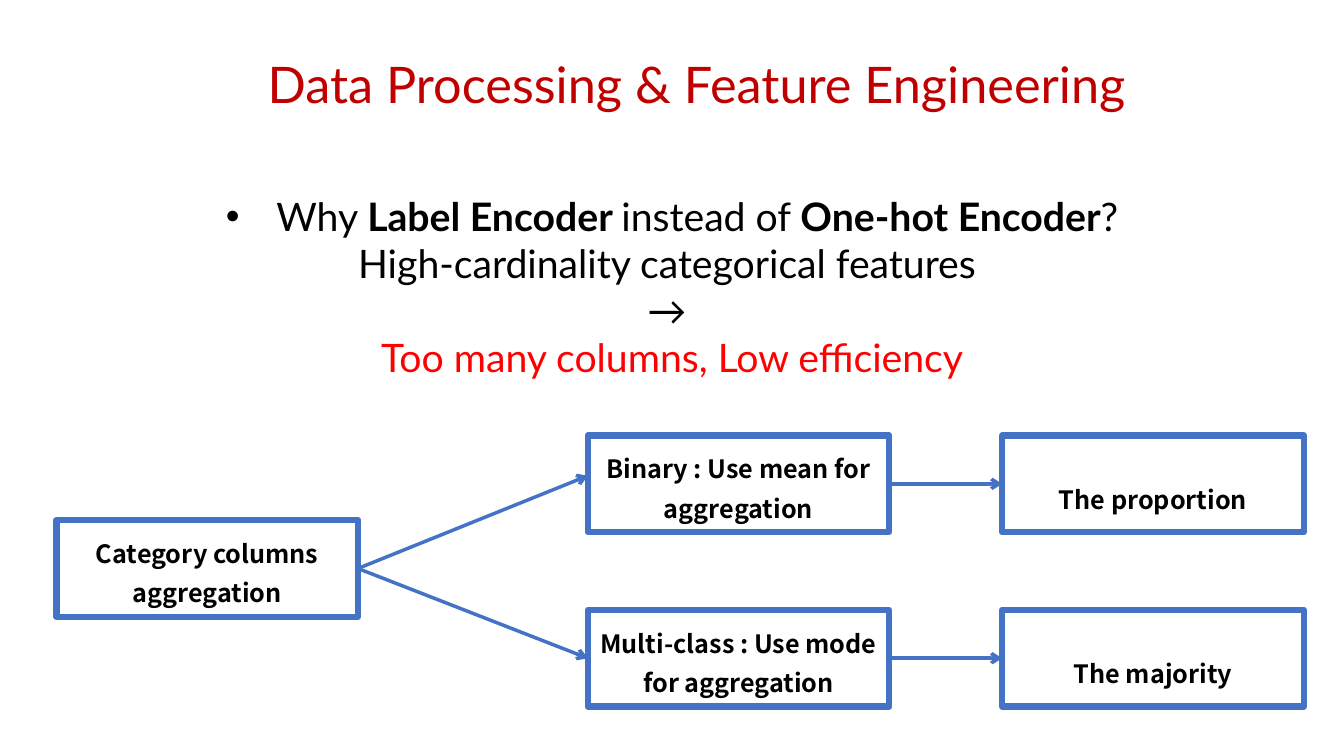
import lxml.etree
import pptx
import pptx.dml.color
import pptx.enum.shapes
import pptx.enum.text
import pptx.oxml.ns
import pptx.util

PX = 9144  # 100 px to the inch
BOX_W, BOX_H = 299, 96
SOURCE_X, METHOD_X, RESULT_X = 56, 583, 994
BINARY_Y, SOURCE_Y, MULTI_Y = 432, 516, 605
TOP, LEFT, RIGHT = 0, 1, 3
BLUE, BLACK, RED, DARK_RED = "4472C4", "000000", "FF0000", "C00000"
LATO, NOTO = "Lato", "Noto Sans CJK SC"


def px(*lengths):
    return [pptx.util.Emu(length * PX) for length in lengths]


def rgb(color):
    return pptx.dml.color.RGBColor.from_string(color)


def add_child(parent, tag, **attributes):
    return lxml.etree.SubElement(parent, pptx.oxml.ns.qn(tag), attributes)


def format_run(run, size, font, color, bold=False):
    run.font.size = pptx.util.Pt(size)
    run.font.name = font
    run.font.bold = bold
    run.font.color.rgb = rgb(color)
    add_child(run.font._element, "a:ea", typeface=font)


def add_text(slide, left, top, width, height, size, lines):
    """Add centred lines, each a list of (text, color, bold) runs."""
    box = slide.shapes.add_textbox(*px(left, top, width, height))
    frame = box.text_frame
    frame.word_wrap = True
    frame.auto_size = pptx.enum.text.MSO_AUTO_SIZE.SHAPE_TO_FIT_TEXT
    for index, line in enumerate(lines):
        paragraph = frame.add_paragraph() if index else frame.paragraphs[0]
        paragraph.alignment = pptx.enum.text.PP_ALIGN.CENTER
        for text, color, bold in line:
            run = paragraph.add_run()
            run.text = text
            format_run(run, size, LATO, color, bold)
    return frame


def add_bullet(paragraph, indent):
    properties = paragraph._p.get_or_add_pPr()
    properties.set("marL", str(indent * PX))
    properties.set("indent", str(-indent * PX))
    add_child(properties, "a:buFont", typeface="Arial")
    add_child(properties, "a:buChar", char="•")


def add_step(slide, left, top, label, spacing=1.3):
    step = slide.shapes.add_shape(
        pptx.enum.shapes.MSO_SHAPE.RECTANGLE, *px(left, top, BOX_W, BOX_H))
    step.shadow.inherit = False
    step.fill.background()
    step.line.color.rgb = rgb(BLUE)
    step.line.width = pptx.util.Pt(4.5)
    frame = step.text_frame
    frame.word_wrap = True
    frame.vertical_anchor = pptx.enum.text.MSO_ANCHOR.MIDDLE
    frame.text = label
    paragraph = frame.paragraphs[0]
    paragraph.alignment = pptx.enum.text.PP_ALIGN.CENTER
    paragraph.line_spacing = spacing
    format_run(paragraph.runs[0], 18, NOTO, BLACK, True)
    return step


def add_arrow(slide, start, end, end_point=None):
    """Join two steps; end_point is a free end that is not on a side's middle."""
    arrow = slide.shapes.add_connector(
        pptx.enum.shapes.MSO_CONNECTOR.STRAIGHT, *px(0, 0), *px(*(end_point or (0, 0))))
    arrow.begin_connect(start, RIGHT)
    if end_point is None:
        arrow.end_connect(end, LEFT)
    arrow.line.color.rgb = rgb(BLUE)
    arrow.line.width = pptx.util.Pt(2.5)
    add_child(arrow.line._get_or_add_ln(), "a:tailEnd", type="arrow")
    add_child(arrow._element.spPr, "a:effectLst")


def main():
    deck = pptx.Presentation()
    deck.slide_width, deck.slide_height = px(1333, 750)
    slide = deck.slides.add_slide(deck.slide_layouts[6])

    add_text(slide, 38, 48, 1306, 71, 36,
             [[("Data Processing & Feature Engineering", DARK_RED, False)]])
    reasons = add_text(slide, 92, 186, 1149, 197, 28, [
        [("Why ", BLACK, False), ("Label Encoder ", BLACK, True),
         ("instead of ", BLACK, False), ("One-hot Encoder", BLACK, True),
         ("?", BLACK, False)],
        [("High-cardinality categorical features ", BLACK, False)],
        [("→ ", BLACK, False)],
        [("Too many columns, Low efficiency", RED, False)],
    ])
    add_bullet(reasons.paragraphs[0], 50)

    source = add_step(slide, SOURCE_X, SOURCE_Y, "Category columns aggregation")
    branches = [
        (BINARY_Y, "Binary : Use mean for aggregation", "The proportion",
         (METHOD_X, 472)),
        (MULTI_Y, "Multi-class : Use mode for aggregation", "The majority", None),
    ]
    for top, method_label, result_label, entry in branches:
        method = add_step(slide, METHOD_X, top, method_label)
        result = add_step(slide, RESULT_X, top, result_label, 2.0)
        add_arrow(slide, source, method, entry)
        add_arrow(slide, method, result)

    deck.save("out.pptx")


if __name__ == "__main__":
    main()
